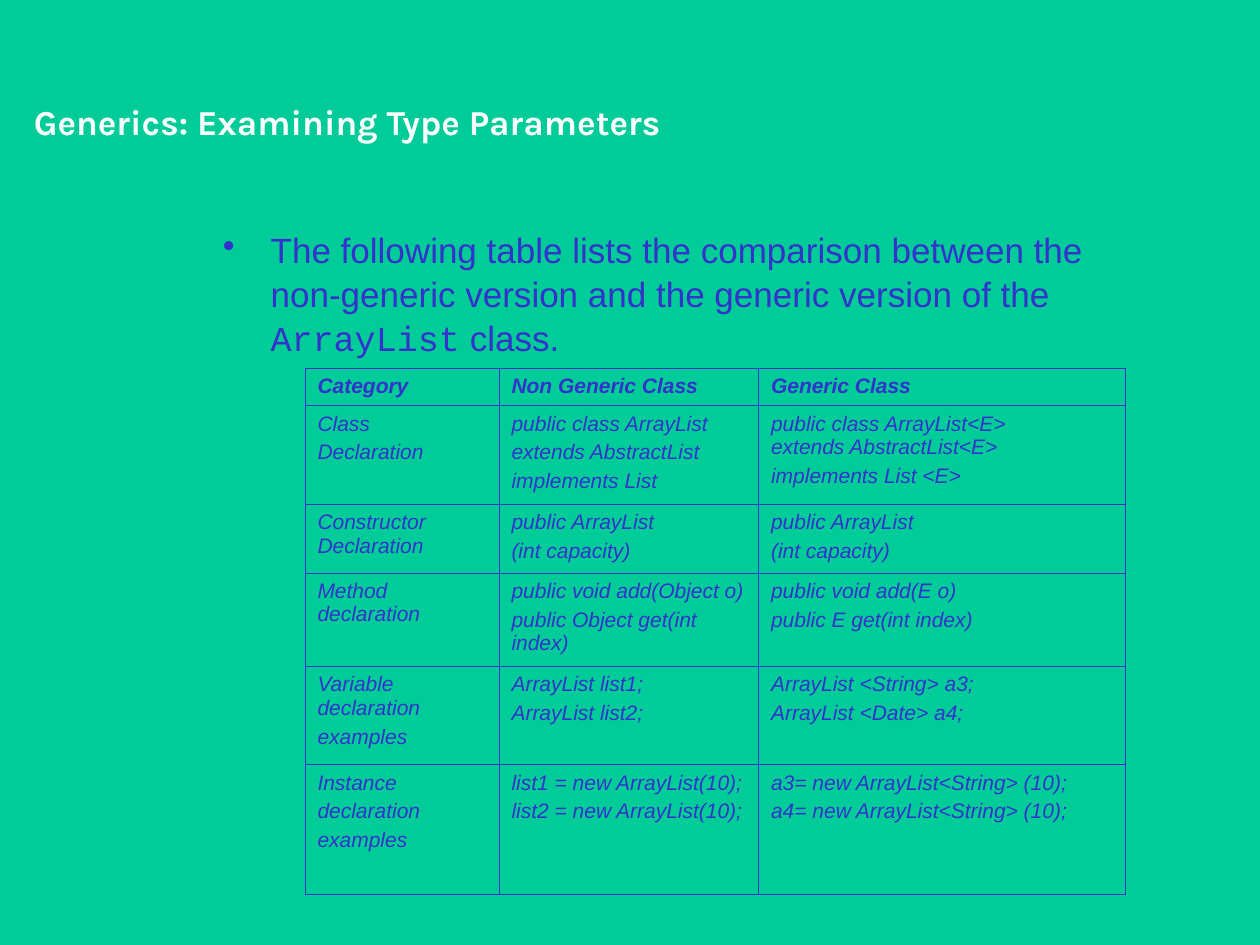
from pptx import Presentation
from pptx.dml.color import RGBColor
from pptx.oxml import parse_xml
from pptx.oxml.ns import nsdecls
from pptx.util import Inches, Pt

THEME = {
    "back": "00CC99", "ink": "3333CC", "title": "FFFFFF",
    "head font": "Karla", "body font": "Arial", "code font": "Courier New",
    "large": 20, "small": 12, "rule": 0.45,
}
TITLE = "Generics: Examining Type Parameters"
INTRO = [
    ("The following table lists the comparison between the\v"
     "non-generic version and the generic version of the ", "body font"),
    ("ArrayList", "code font"),
    (" class.", "body font"),
]
# Each newline starts a paragraph; \v breaks a line inside one.
ROWS = [
    ("Category", "Non Generic Class", "Generic Class"),
    ("Class\nDeclaration",
     "public class ArrayList\nextends AbstractList\nimplements List",
     "public class ArrayList<E> \vextends AbstractList<E>\nimplements List <E>"),
    ("Constructor Declaration",
     "public ArrayList\n(int capacity)",
     "public ArrayList\n(int capacity)"),
    ("Method declaration",
     "public void add(Object o)\npublic Object get(int index)",
     "public void add(E o)\npublic E get(int index)"),
    ("Variable declaration\nexamples",
     "ArrayList list1;\nArrayList list2;",
     "ArrayList <String> a3;\nArrayList <Date> a4;"),
    ("Instance\ndeclaration\nexamples",
     "list1 = new ArrayList(10);\nlist2 = new ArrayList(10);",
     "a3= new ArrayList<String> (10);\na4= new ArrayList<String> (10);"),
]
WIDTHS = [1.54, 2.06, 2.91]
HEIGHTS = [0.3, 0.78, 0.54, 0.74, 0.78, 1.03]


def style(font, face, size, color, bold=False, italic=False):
    font.name = THEME[face]
    font.size = Pt(THEME[size])
    font.color.rgb = RGBColor.from_string(THEME[color])
    font.bold, font.italic = bold, italic


def add_box(slide, left, top, width, height):
    box = slide.shapes.add_textbox(*map(Inches, (left, top, width, height)))
    box.text_frame.word_wrap = True
    return box.text_frame


def add_title(slide):
    para = add_box(slide, 0.17, 0.75, 8.75, 0.44).paragraphs[0]
    para.text = TITLE
    style(para.runs[0].font, "head font", "large", "title", bold=True)


def add_intro(slide):
    para = add_box(slide, 1.67, 1.75, 8, 5).paragraphs[0]
    props = para._p.get_or_add_pPr()
    indent = Inches(0.38)
    props.set("marL", str(indent))
    props.set("indent", str(-indent))
    props.append(parse_xml(
        f'<a:buClr {nsdecls("a")}><a:srgbClr val="{THEME["ink"]}"/></a:buClr>'))
    props.append(parse_xml(f'<a:buChar {nsdecls("a")} char="•"/>'))
    para.line_spacing = 1.05
    for words, face in INTRO:
        for count, line in enumerate(words.split("\v")):
            if count:
                para.add_line_break()
            run = para.add_run()
            run.text = line
            style(run.font, face, "large", "ink")


def add_borders(cell):
    props = cell._tc.get_or_add_tcPr()
    for side in "LRTB":
        props.append(parse_xml(
            f'<a:ln{side} {nsdecls("a")} w="{Pt(THEME["rule"])}"><a:solidFill>'
            f'<a:srgbClr val="{THEME["ink"]}"/></a:solidFill></a:ln{side}>'))


def fill_cell(cell, words, bold):
    add_borders(cell)
    cell.fill.background()
    cell.text_frame.text = words
    for count, para in enumerate(cell.text_frame.paragraphs):
        if count:
            para.space_before = Pt(3)
        for run in para.runs:
            style(run.font, "body font", "small", "ink", bold, italic=True)


def add_grid(slide):
    grid = slide.shapes.add_table(
        len(ROWS), len(WIDTHS), Inches(2.42), Inches(2.92),
        Inches(sum(WIDTHS)), Inches(sum(HEIGHTS))).table
    grid.first_row = grid.horz_banding = False
    for col, width in zip(grid.columns, WIDTHS):
        col.width = Inches(width)
    for row, height, texts in zip(grid.rows, HEIGHTS, ROWS):
        row.height = Inches(height)
        for cell, words in zip(row.cells, texts):
            fill_cell(cell, words, bold=texts is ROWS[0])


def main():
    deck = Presentation()
    deck.slide_width, deck.slide_height = Inches(10), Inches(7.5)
    slide = deck.slides.add_slide(deck.slide_layouts[6])
    back = slide.background.fill
    back.solid()
    back.fore_color.rgb = RGBColor.from_string(THEME["back"])
    add_intro(slide)
    add_title(slide)
    add_grid(slide)
    deck.save("out.pptx")


if __name__ == "__main__":
    main()
